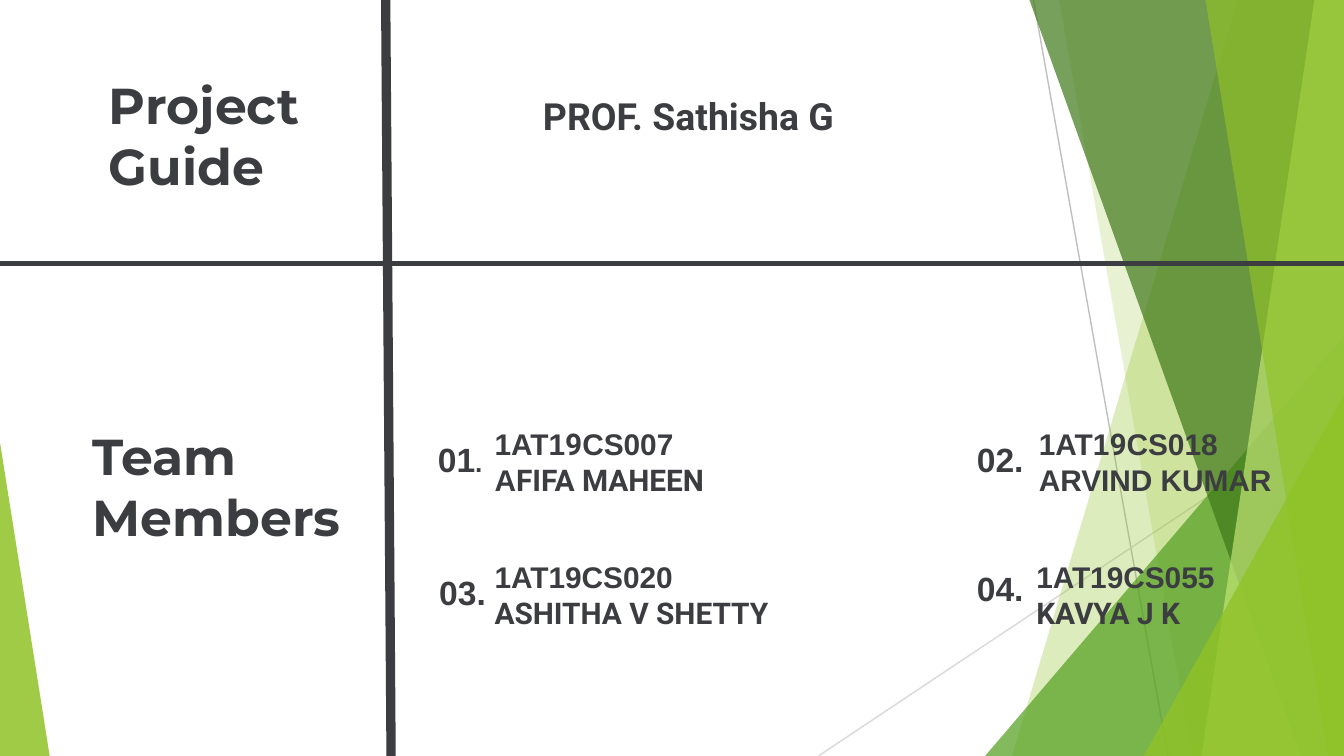
from typing import NamedTuple

from lxml import etree
from pptx import Presentation
from pptx import util as u
from pptx.dml.color import RGBColor
from pptx.enum import shapes as sh, text as tx
from pptx.oxml.ns import qn

# Grid of square cells, 100 columns wide and 56.25 rows high
COLS, ROWS = 100, 56.25
CELL = u.Inches(0.1)
INK, LIME, LEAF, MOSS, PALE = "3C3D40", "90C226", "54A021", "3F7819", "C0E474"
SANS, HEAD, BODY = "Arial", "Montserrat", "Roboto"


class Band(NamedTuple):
    """Facet from a slanted left edge to the right side of the slide."""
    top: float
    foot: float
    hue: str
    alpha: int


class Wedge(NamedTuple):
    """Triangle on the slide's foot; peak is the share of its width."""
    col: float
    row: float
    wide: float
    peak: int
    hue: str
    alpha: int


class Rule(NamedTuple):
    start: tuple[float, float]
    end: tuple[float, float]
    hue: str
    size: float


class Run(NamedTuple):
    words: str
    font: str
    size: float


class Label(NamedTuple):
    col: float
    row: float
    wide: float
    high: float
    paras: list[list[Run]]
    pad: float = 0.7
    grow: bool = False


def at(cells: float) -> int:
    return round(cells * CELL)


def tint(hue: str) -> RGBColor:
    return RGBColor.from_string(hue)


def paint(shape, hue: str, alpha: int) -> None:
    shape.shadow.inherit = False
    shape.line.fill.background()
    shape.fill.solid()
    shape.fill.fore_color.rgb = tint(hue)
    clr = shape.fill._xPr.find(".//" + qn("a:srgbClr"))
    etree.SubElement(clr, qn("a:alpha")).set("val", str(alpha * 1000))


def draw_band(slide, band: Band) -> None:
    pen = slide.shapes.build_freeform(at(band.top), 0)
    edge = [(COLS, 0), (COLS, ROWS), (band.foot, ROWS)]
    pen.add_line_segments([(at(x), at(y)) for x, y in edge], close=True)
    paint(pen.convert_to_shape(), band.hue, band.alpha)


def draw_wedge(slide, wedge: Wedge) -> None:
    shape = slide.shapes.add_shape(
        sh.MSO_SHAPE.ISOSCELES_TRIANGLE, at(wedge.col), at(wedge.row),
        at(wedge.wide), at(ROWS - wedge.row))
    shape.adjustments[0] = wedge.peak
    paint(shape, wedge.hue, wedge.alpha)


def draw_rule(slide, rule: Rule) -> None:
    ends = [at(n) for n in (*rule.start, *rule.end)]
    line = slide.shapes.add_connector(sh.MSO_CONNECTOR.STRAIGHT, *ends)
    line.line.color.rgb = tint(rule.hue)
    line.line.width = u.Pt(rule.size)
    etree.SubElement(line._element.spPr, qn("a:effectLst"))


def style(font, run: Run) -> None:
    font.name, font.size, font.bold = run.font, u.Pt(run.size), True
    font.color.rgb = tint(INK)


def draw_label(slide, label: Label) -> None:
    box = slide.shapes.add_textbox(
        at(label.col), at(label.row), at(label.wide), at(label.high))
    frame = box.text_frame
    frame.word_wrap = True
    if label.grow:
        frame.auto_size = tx.MSO_AUTO_SIZE.SHAPE_TO_FIT_TEXT
    frame.margin_left = frame.margin_right = at(label.pad)
    frame.margin_top = frame.margin_bottom = at(label.pad / 2)
    for i, runs in enumerate(label.paras):
        para = frame.add_paragraph() if i else frame.paragraphs[0]
        same = len({(run.font, run.size) for run in runs}) == 1
        if same:
            style(para.font, runs[0])
        for run in runs:
            part = para.add_run()
            part.text = run.words
            if not same:
                style(part.font, run)


def title(col: float, row: float, words: str) -> Label:
    return Label(col, row, 21.2, 14.4, [[Run(words, HEAD, 27)]])


def number(col: float, row: float, *runs: Run) -> Label:
    return Label(col, row, 6.3, 4, [list(runs)], pad=1, grow=True)


def member(col: float, row: float, wide: float, code: list[Run],
           name: list[Run]) -> Label:
    return Label(col, row, wide, 5.2, [code, name])


def sans(words: str, size: float = 16) -> Run:
    return Run(words, SANS, size)


def body(words: str, size: float = 16) -> Run:
    return Run(words, BODY, size)


PARTS = [
    # Backdrop of thin lines and facets
    Rule((76.9, 0), (86.9, ROWS), "BFBFBF", 0.75),
    Rule((COLS, 30.2), (60.9, ROWS), "D9D9D9", 0.75),
    Band(92.1, 75.3, LIME, 30),
    Band(78.8, 88.7, LIME, 20),
    Wedge(73.3, 25, 26.7, 1, LEAF, 72),
    Band(76.6, 96.8, MOSS, 70),
    Band(97.8, 89.4, PALE, 70),
    Band(89.7, 98.8, LIME, 65),
    Wedge(85.1, 29.4, 14.9, 1, LIME, 80),
    Wedge(0, 32.9, 3.7, 0, LIME, 85),
    # Team members
    title(6.2, 31.3, "Team Members"),
    member(36.1, 31.3, 36.9, [sans("1AT1"), body("9"), sans("CS007")],
           [sans("A"), body("FIFA MAHEEN")]),
    member(76.6, 31.3, 19.5, [sans("1AT1"), body("9"), sans("CS018")],
           [sans("ARVIND KUMAR")]),
    member(36.1, 41.2, 24.9, [sans("1AT19CS020")], [body("ASHITHA V SHETTY")]),
    member(76.4, 41.2, 24.9, [sans("1AT19CS055")], [body("KAVYA J K")]),
    number(31.6, 32.2, sans("01", 18), sans(".", 14)),
    number(71.7, 32.2, sans("02.", 18)),
    number(31.7, 42.1, sans("03.", 18)),
    number(71.7, 41.8, sans("04.", 18)),
    # Project guide and the dividing cross
    Rule((29.1, ROWS), (28.7, 0), INK, 5),
    title(7.4, 5.2, "Project Guide"),
    Label(39.7, 6.6, 38.4, 5.8, [[body("PROF. Sathisha G", 20)]]),
    Rule((0, 19.6), (COLS, 19.6), INK, 3),
]
DRAW = {Band: draw_band, Wedge: draw_wedge, Rule: draw_rule, Label: draw_label}


def main() -> None:
    deck = Presentation()
    deck.slide_width, deck.slide_height = at(COLS), at(ROWS)
    slide = deck.slides.add_slide(deck.slide_layouts[6])
    for part in PARTS:
        DRAW[type(part)](slide, part)
    deck.save("out.pptx")


if __name__ == "__main__":
    main()
